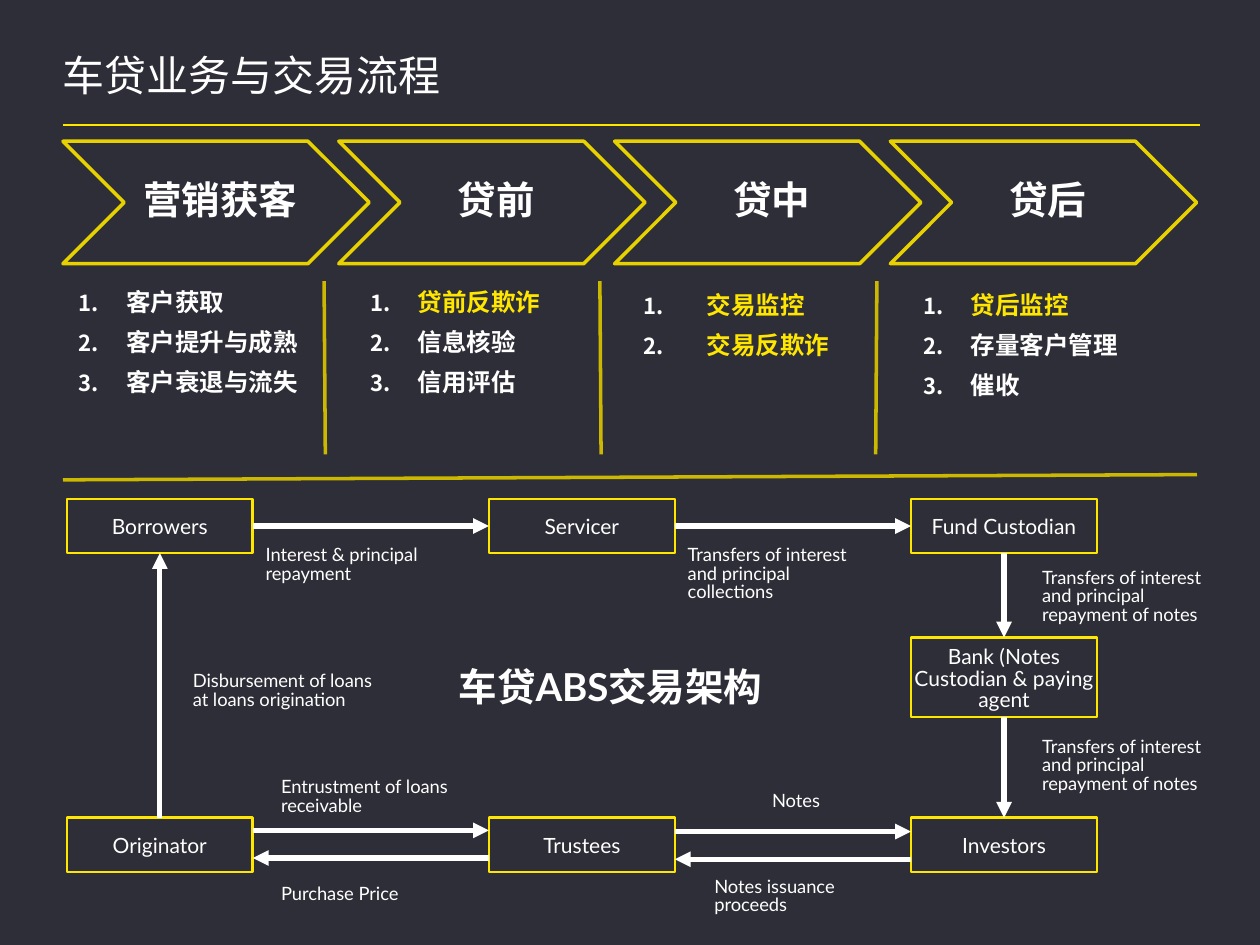
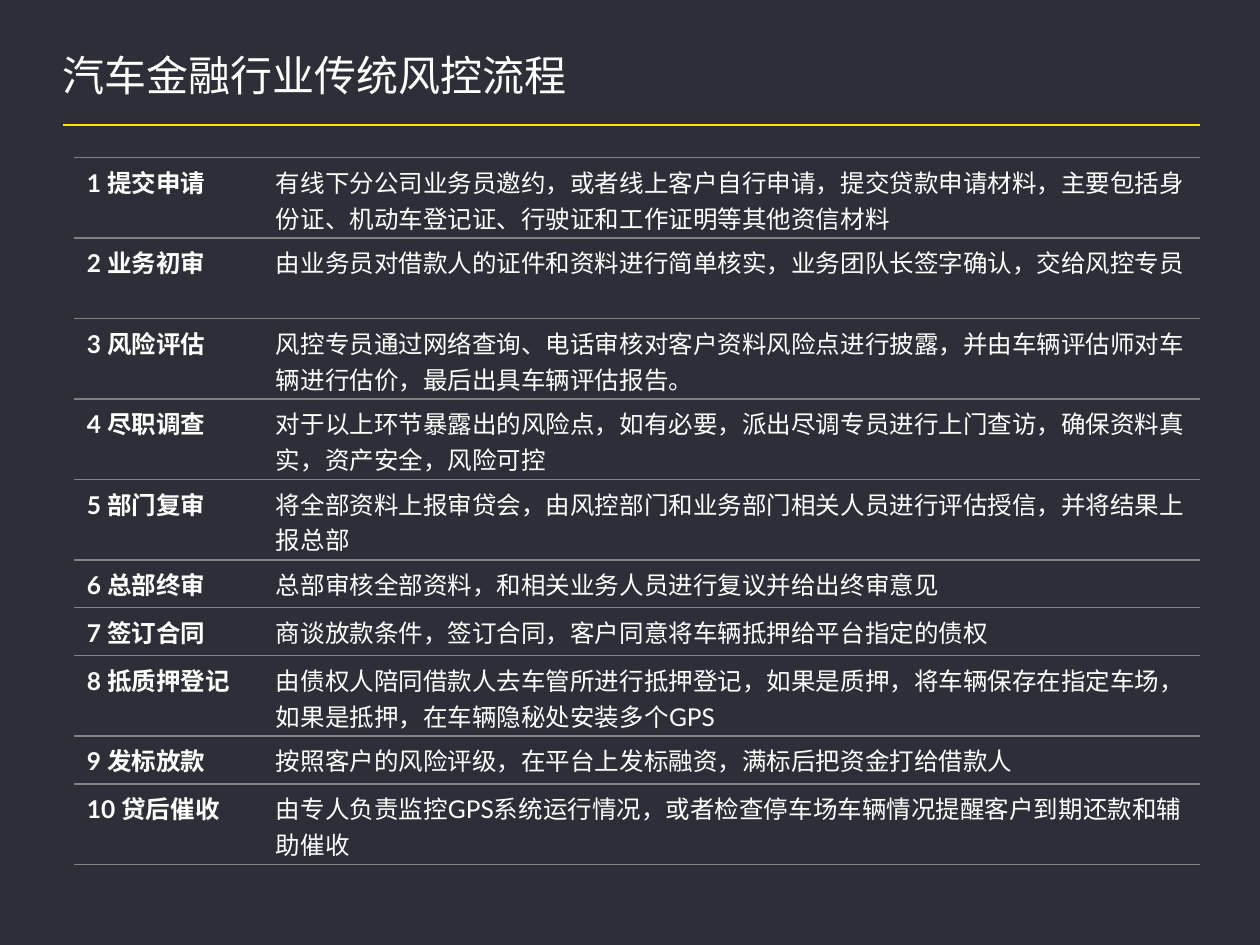
from pptx import Presentation
from pptx.dml.color import RGBColor
from pptx.enum.shapes import MSO_CONNECTOR, MSO_SHAPE
from pptx.enum.text import MSO_ANCHOR, PP_ALIGN
from pptx.oxml.ns import qn
from pptx.util import Pt
from lxml.etree import SubElement, Element

FONT = "Lato"
DARK, WHITE, GRAY = "2E2E38", "FFFFFF", "808080"
YELLOW, GOLD, OCHRE = "FFE600", "E7D100", "CCB800"
TOP, LEFT, BOTTOM, RIGHT = range(4)

STAGES = ["营销获客", "贷前", "贷中", "贷后"]
# left, top, indent, items, indexes of highlighted items
TASK_LISTS = [
    (38, 160.5, 27, ["客户获取", "客户提升与成熟", "客户衰退与流失"], ()),
    (204.5, 160.5, 27, ["贷前反欺诈", "信息核验", "信用评估"], (0,)),
    (360.7, 162, 36, ["交易监控", "交易反欺诈"], (0, 1)),
    (520.6, 162, 27, ["贷后监控", "存量客户管理", "催收"], (0,)),
]
# column, top, height within the flow diagram
PARTIES = {
    "Borrowers": (0, 0, 31),
    "Servicer": (1, 0, 31),
    "Fund Custodian": (2, 0, 31),
    "Bank (Notes Custodian & paying agent": (2, 79.2, 45.4),
    "Originator": (0, 182.2, 31),
    "Trustees": (1, 182.2, 31),
    "Investors": (2, 182.2, 31),
}
JOINED = [
    ("Borrowers", RIGHT, "Servicer", LEFT),
    ("Servicer", RIGHT, "Fund Custodian", LEFT),
    ("Fund Custodian", BOTTOM, "Bank (Notes Custodian & paying agent", TOP),
    ("Bank (Notes Custodian & paying agent", BOTTOM, "Investors", TOP),
    ("Originator", TOP, "Borrowers", BOTTOM),
]
REPAYMENT = "Transfers of interest and principal repayment of notes"
FLOW_LABELS = [
    (113.6, 24.3, "Interest & principal repayment"),
    (354.8, 24.3, "Transfers of interest and principal collections"),
    (557.3, 37.3, REPAYMENT),
    (557.3, 133.8, REPAYMENT),
    (72, 96.3, "Disbursement of loans at loans origination"),
    (122.4, 157, "Entrustment of loans receivable"),
    (122.4, 218, "Purchase Price"),
    (403, 164.7, "Notes"),
    (370, 213.8, "Notes issuance proceeds"),
]
STEPS = [
    ("提交申请", "有线下分公司业务员邀约，或者线上客户自行申请，提交贷款申请材料，主要包括身份证、机动车登记证、行驶证和工作证明等其他资信材料"),
    ("业务初审", "由业务员对借款人的证件和资料进行简单核实，业务团队长签字确认，交给风控专员"),
    ("风险评估", "风控专员通过网络查询、电话审核对客户资料风险点进行披露，并由车辆评估师对车辆进行估价，最后出具车辆评估报告。"),
    ("尽职调查", "对于以上环节暴露出的风险点，如有必要，派出尽调专员进行上门查访，确保资料真实，资产安全，风险可控"),
    ("部门复审", "将全部资料上报审贷会，由风控部门和业务部门相关人员进行评估授信，并将结果上报总部"),
    ("总部终审", "总部审核全部资料，和相关业务人员进行复议并给出终审意见"),
    ("签订合同", "商谈放款条件，签订合同，客户同意将车辆抵押给平台指定的债权"),
    ("抵质押登记", "由债权人陪同借款人去车管所进行抵押登记，如果是质押，将车辆保存在指定车场，如果是抵押，在车辆隐秘处安装多个GPS"),
    ("发标放款", "按照客户的风险评级，在平台上发标融资，满标后把资金打给借款人"),
    ("贷后催收", "由专人负责监控GPS系统运行情况，或者检查停车场车辆情况提醒客户到期还款和辅助催收"),
]


def color(value):
    return RGBColor.from_string(value)


def style(para, size, bold=False, fill=WHITE):
    font = para.font
    font.name, font.size, font.bold = FONT, Pt(size), bold
    font.color.rgb = color(fill)


def set_frame(frame, insets, anchor=MSO_ANCHOR.TOP):
    frame.word_wrap = True
    frame.vertical_anchor = anchor
    (frame.margin_left, frame.margin_top,
     frame.margin_right, frame.margin_bottom) = map(Pt, insets)


def write(frame, text, size, spacing, bold=False, align=PP_ALIGN.LEFT):
    para = frame.paragraphs[0]
    para.text, para.line_spacing, para.alignment = text, spacing, align
    style(para, size, bold)


def add_text(page, box, text, size, insets=(0, 0, 0, 0), spacing=0.85):
    frame = page.shapes.add_textbox(*map(Pt, box)).text_frame
    set_frame(frame, insets)
    write(frame, text, size, spacing)


def add_heading(page, box, text):
    frame = page.shapes.add_textbox(*map(Pt, box)).text_frame
    set_frame(frame, (7.2, 2.2, 2.2, 2.2), MSO_ANCHOR.MIDDLE)
    write(frame, text, 22, 0.9, True, PP_ALIGN.CENTER)


def add_outline(page, kind, box, line, width):
    shape = page.shapes.add_shape(kind, *map(Pt, box))
    shape.shadow.inherit = False
    shape.fill.background()
    shape.line.color.rgb = color(line)
    shape.line.width = Pt(width)
    return shape


def add_line(page, start, end, line, width, arrow=False):
    connector = page.shapes.add_connector(
        MSO_CONNECTOR.STRAIGHT, *map(Pt, (*start, *end)))
    connector.line.color.rgb = color(line)
    connector.line.width = Pt(width)
    properties = connector._element.spPr
    if arrow:
        SubElement(properties.find(qn("a:ln")), qn("a:tailEnd"), type="triangle")
    SubElement(properties, qn("a:effectLst"))
    return connector


def add_page(deck, title):
    page = deck.slides.add_slide(deck.slide_layouts[6])
    page.background.fill.solid()
    page.background.fill.fore_color.rgb = color(DARK)
    add_line(page, (36, 71.5), (686, 71.5), YELLOW, 1.5)
    add_text(page, (36, 33, 648, 47), title, 24)
    return page


def number_paragraph(para, indent):
    properties = para._p.get_or_add_pPr()
    properties.set("marL", str(Pt(indent)))
    properties.set("indent", str(-Pt(indent)))
    bullet_color = SubElement(properties, qn("a:buClr"))
    SubElement(bullet_color, qn("a:srgbClr"), val=WHITE)
    SubElement(properties, qn("a:buSzPct"), val="90000")
    SubElement(properties, qn("a:buAutoNum"), type="arabicPeriod")


def add_task_list(page, left, top, indent, items, highlighted):
    frame = page.shapes.add_textbox(Pt(left), Pt(top), Pt(144), Pt(82)).text_frame
    set_frame(frame, (7.2, 3.6, 7.2, 3.6))
    for index, item in enumerate(items):
        para = frame.paragraphs[0] if index == 0 else frame.add_paragraph()
        para.text = item
        para.space_after = Pt(6)
        number_paragraph(para, indent)
        style(para, 14, True, YELLOW if index in highlighted else WHITE)


def add_stages(page, left, top):
    pitch = 157.6
    # Chevrons with their names
    for index, name in enumerate(STAGES):
        x = left + index * pitch
        add_outline(page, MSO_SHAPE.CHEVRON, (x, top, 175, 70), GOLD, 2)
        add_heading(page, (x + 35, top, 105, 70), name)
    # Dividers between the task lists
    for index, lean in enumerate((0.7, 0.7, -0.7)):
        x = left + 149.2 + index * pitch + (0.7 if index == 2 else 0)
        add_line(page, (x, top + 80), (x + lean, top + 179), OCHRE, 2)
    for task_list in TASK_LISTS:
        add_task_list(page, *task_list)
    add_line(page, (left, 274.2), (left + 648, 271.2), OCHRE, 2)


def add_flow(page, left, top):
    width, pitch = 106.3, 241.2
    # Parties
    boxes = {}
    for name, (column, y, height) in PARTIES.items():
        box = (left + column * pitch, top + y, width, height)
        party = add_outline(page, MSO_SHAPE.RECTANGLE, box, YELLOW, 1.5)
        set_frame(party.text_frame, (0, 2.9, 0, 0), MSO_ANCHOR.MIDDLE)
        write(party.text_frame, name, 12, 0.85, align=PP_ALIGN.CENTER)
        boxes[name] = party
    # Arrows joined to the parties
    for source, source_side, target, target_side in JOINED:
        arrow = add_line(page, (0, 0), (0, 0), WHITE, 3, True)
        arrow.begin_connect(boxes[source], source_side)
        arrow.end_connect(boxes[target], target_side)
    # Pairs of opposite arrows along the bottom row
    for column, y in enumerate((189.4, 190.1)):
        start = left + column * pitch + width
        end = left + (column + 1) * pitch
        add_line(page, (start, top + y), (end, top + y), WHITE, 3, True)
        add_line(page, (end, top + y + 15.8), (start, top + y + 15.8), WHITE, 3, True)
    # Labels
    for x, y, text in FLOW_LABELS:
        add_text(page, (left + x, top + y, 106, 25), text, 10.5, (0, 2.9, 0, 0))
    add_heading(page, (left + 205.2, top + 73.4, 206, 70), "车贷ABS交易架构")


def set_borders(cell):
    properties = cell._tc.get_or_add_tcPr()
    for index, side in enumerate(("lnL", "lnR", "lnT", "lnB")):
        border = Element(qn("a:" + side), w=str(Pt(1)))
        if side in ("lnL", "lnR"):
            SubElement(border, qn("a:noFill"))
        else:
            fill = SubElement(border, qn("a:solidFill"))
            SubElement(fill, qn("a:srgbClr"), val=GRAY)
        properties.insert(index, border)


def add_steps_table(page, left, top):
    heights = [46 if len(detail) > 32 else 27.4 for _, detail in STEPS]
    table = page.shapes.add_table(
        len(STEPS), 2, Pt(left), Pt(top), Pt(643), Pt(sum(heights))).table
    table.first_row = table.horz_banding = False
    table.columns[0].width, table.columns[1].width = Pt(108), Pt(535)
    for index, (name, detail) in enumerate(STEPS):
        table.rows[index].height = Pt(heights[index])
        for column, text in enumerate((f"{index + 1} {name}", detail)):
            cell = table.cell(index, column)
            cell.text = text
            cell.fill.background()
            set_borders(cell)
            style(cell.text_frame.paragraphs[0], 14, column == 0)


def main():
    deck = Presentation()
    deck.slide_width, deck.slide_height = Pt(720), Pt(540)

    page = add_page(deck, "车贷业务与交易流程")
    add_stages(page, 36, 80.7)
    add_flow(page, 38.2, 285.1)

    page = add_page(deck, "汽车金融行业传统风控流程")
    add_steps_table(page, 42.5, 90)

    deck.save("out.pptx")


if __name__ == "__main__":
    main()
